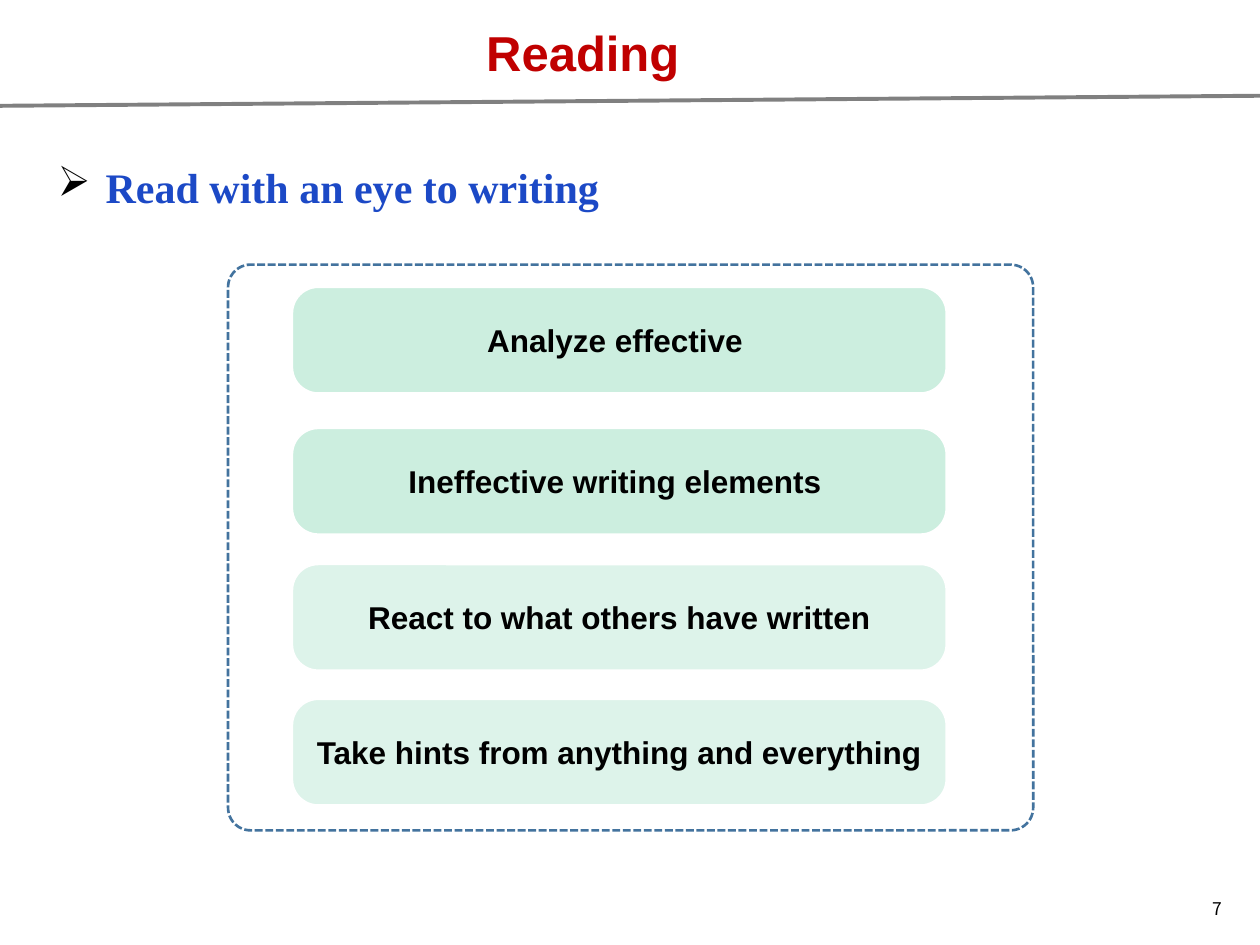
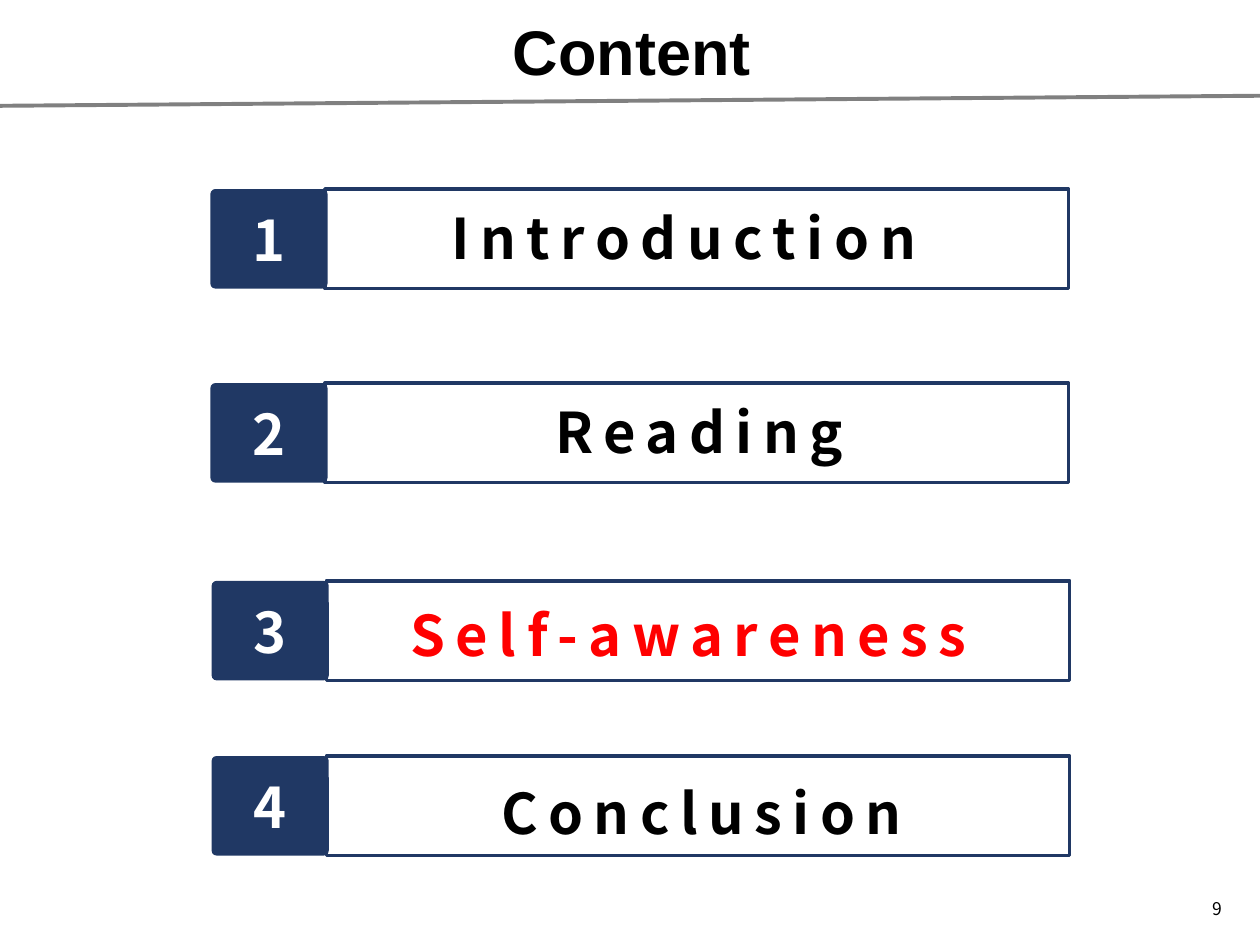
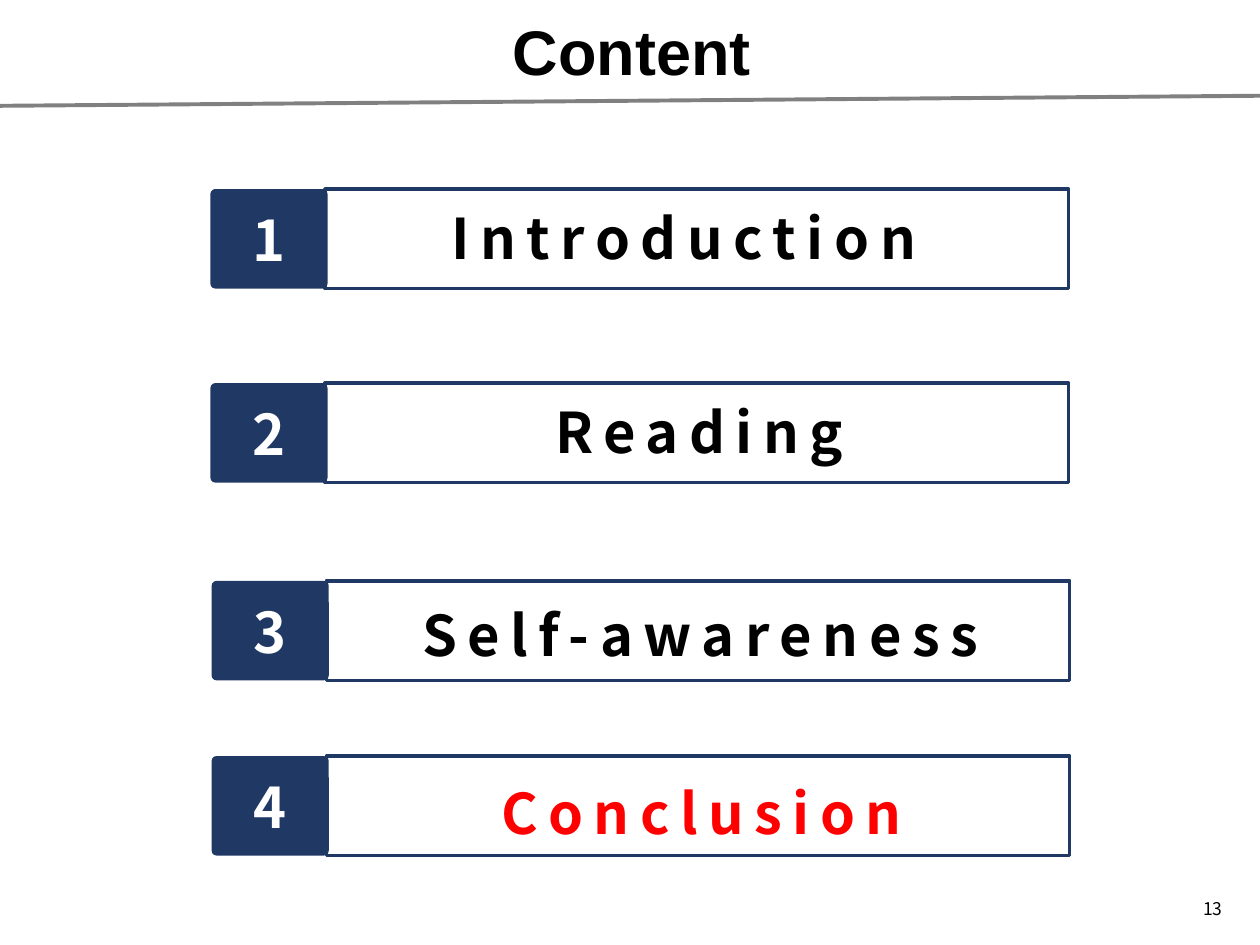
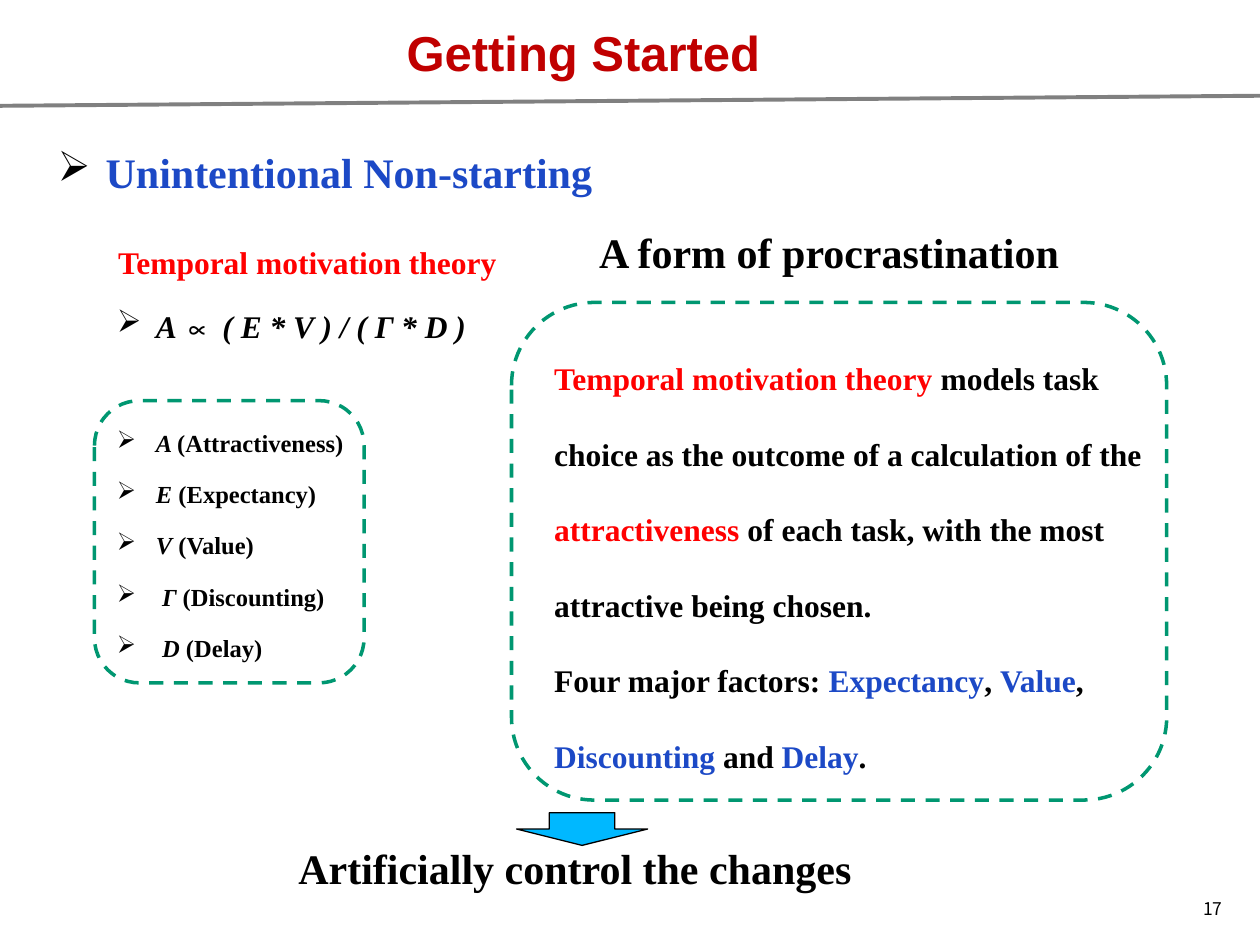
from lxml import etree
from pptx import Presentation
from pptx import util as u
from pptx.dml.color import RGBColor
from pptx.enum import dml, shapes, text
from pptx.oxml.ns import qn

COLORS = {
    "black": "000000", "white": "FFFFFF", "gray": "808080", "title": "C00000",
    "blue": "1C49C6", "red": "FF0000", "navy": "203864", "frame": "43739E",
    "mint": "CCEEDF", "pale": "DDF3EA", "green": "009771", "arrow": "00B8FF",
}
SANS, SERIF, CJK = "Arial", "Times New Roman", "Noto Sans CJK SC"
ROUNDED = shapes.MSO_SHAPE.ROUNDED_RECTANGLE
CENTER, RIGHT = text.PP_ALIGN.CENTER, text.PP_ALIGN.RIGHT
TOP, MIDDLE = text.MSO_ANCHOR.TOP, text.MSO_ANCHOR.MIDDLE


def write(shape, paragraphs, size, font, color="black", align=None, anchor=TOP,
          bold=True, indent=None, spacing=None):
    frame = shape.text_frame
    frame.word_wrap = True
    frame.auto_size = text.MSO_AUTO_SIZE.NONE
    frame.vertical_anchor = anchor
    for index, parts in enumerate(paragraphs):
        paragraph = frame.paragraphs[0] if index == 0 else frame.add_paragraph()
        paragraph.alignment = align
        paragraph.line_spacing = spacing
        if indent:
            properties = paragraph._p.get_or_add_pPr()
            properties.set("marL", str(u.Inches(indent)))
            properties.set("indent", str(-u.Inches(indent)))
            bullet_color = etree.SubElement(properties, qn("a:buClr"))
            etree.SubElement(bullet_color, qn("a:srgbClr"), val=COLORS["black"])
            etree.SubElement(properties, qn("a:buChar"), char="➢")
        for words, run_color, italic in parts:
            run = paragraph.add_run()
            run.text = words
            run.font.name = font
            run.font.size = u.Pt(size)
            run.font.bold = bold
            run.font.italic = italic
            run.font.color.rgb = RGBColor.from_string(COLORS[run_color or color])
    return frame


def add_block(slide, kind, box, fill=None, line=None, width=1, dash=None, radius=None):
    shape = slide.shapes.add_shape(kind, *map(u.Inches, box))
    shape.shadow.inherit = False
    if radius is not None:
        shape.adjustments[0] = radius
    if fill:
        shape.fill.solid()
        shape.fill.fore_color.rgb = RGBColor.from_string(COLORS[fill])
    else:
        shape.fill.background()
    if line:
        shape.line.color.rgb = RGBColor.from_string(COLORS[line])
        shape.line.width = u.Pt(width)
        shape.line.dash_style = dash
    else:
        shape.line.fill.background()
    return shape


presentation = Presentation()
presentation.slide_width = u.Inches(10)
presentation.slide_height = u.Inches(7.5)

slides = []
for title, page, box, size, color in [
    ("Reading", "7", (3.75, 0.13, 1.75, 0.57), 28, "title"),
    ("Content", "9", (3.96, 0.05, 2.11, 0.71), 36, "black"),
    ("Content", "13", (3.96, 0.05, 2.11, 0.71), 36, "black"),
    ("Getting Started", "17", (3.11, 0.13, 3.04, 0.57), 28, "title"),
]:
    slide = presentation.slides.add_slide(presentation.slide_layouts[5])
    heading = slide.shapes.title
    heading.left, heading.top, heading.width, heading.height = map(u.Inches, box)
    write(heading, [[(title, None, None)]], size, SANS, color, CENTER).word_wrap = False
    rule = slide.shapes.add_connector(
        shapes.MSO_CONNECTOR.STRAIGHT, *map(u.Inches, (0, 0.84, 10, 0.76)))
    rule.line.color.rgb = RGBColor.from_string(COLORS["gray"])
    rule.line.width = u.Pt(2.25)
    etree.SubElement(rule._element.spPr, qn("a:effectLst"))
    number = slide.shapes.add_textbox(*map(u.Inches, (9.33, 7.01, 0.47, 0.4)))
    write(number, [[(page, None, None)]], 10, CJK, align=RIGHT, anchor=MIDDLE, bold=False)
    slides.append(slide)
reading, content_awareness, content_conclusion, started = slides

for slide, topic, box in [
    (reading, "Read with an eye to writing", (0.36, 1.23, 5.49, 0.5)),
    (started, "Unintentional Non-starting", (0.36, 1.11, 5.97, 0.5)),
]:
    topic_box = slide.shapes.add_textbox(*map(u.Inches, box))
    write(topic_box, [[(topic, None, None)]], 24, SERIF, "blue", indent=0.38)

add_block(reading, ROUNDED, (1.81, 2.1, 6.39, 4.49), line="frame", width=1.5,
          dash=dml.MSO_LINE.SQUARE_DOT, radius=0.04)
for advice, top, fill in [
    ("Analyze effective ", 2.28, "mint"),
    ("Ineffective writing elements ", 3.4, "mint"),
    ("React to what others have written", 4.48, "pale"),
    ("Take hints from anything and everything", 5.55, "pale"),
]:
    card = add_block(reading, ROUNDED, (2.32, top, 5.19, 0.84), fill, "white", radius=0.245)
    write(card, [[(advice, None, None)]], 18, SANS, align=CENTER, anchor=MIDDLE)

chapter_places = [
    (1.67, 1.5, (2.91, 1.57, 5.04, 0.64)),
    (1.67, 3.04, (3.03, 3.11, 5.04, 0.64)),
    (1.68, 4.61, (2.61, 4.72, 5.9, 0.64)),
    (1.68, 6, (3.05, 6.13, 5.04, 0.64)),
]
for slide, chapters, current in [
    (content_awareness, ["Introduction", "Reading", "Self-awareness ", "Conclusion"], 3),
    (content_conclusion, ["Introduction", "Reading", "Self-awareness", "Conclusion"], 4),
]:
    for order, (chapter, place) in enumerate(zip(chapters, chapter_places), 1):
        left, top, label_box = place
        add_block(slide, shapes.MSO_SHAPE.RECTANGLE, (left + 0.91, top, 5.9, 0.79),
                  "white", "navy", 2)
        badge = add_block(slide, ROUNDED, (left, top, 0.93, 0.79), "navy", radius=0.05)
        write(badge, [[(str(order), None, None)]], 32, CJK, "white", CENTER, MIDDLE)
        label = slide.shapes.add_textbox(*map(u.Inches, label_box))
        color = "red" if order == current else "black"
        frame = write(label, [[(chapter, None, None)]], 32, CJK, color, CENTER)
        frame.paragraphs[0].runs[0].font._element.set("spc", "600")

factors = started.shapes.add_textbox(*map(u.Inches, (0.83, 2.25, 7.24, 3.07)))
frame = write(factors, [
    [("A ∝ ( E * V ) / ( Γ * D )", None, True)],
    [("A ", None, True), ("(Attractiveness)", None, False)],
    [("E ", None, True), ("(Expectancy)", None, False)],
    [("V", None, True), (" (Value)", None, False)],
    [(" ", None, False), ("Γ ", None, True), ("(Discounting)", None, False)],
    [(" ", None, False), ("D", None, True), (" (Delay)", None, False)],
], 18, SERIF, indent=0.31, spacing=1.45)
for paragraph in frame.paragraphs[1:]:
    paragraph.space_before = u.Pt(5)
    for run in paragraph.runs:
        run.font.size = u.Pt(14)
frame.paragraphs[1].space_before = u.Pt(40)

for box in [(0.75, 3.18, 2.14, 2.24), (4.06, 2.4, 5.2, 3.95)]:
    add_block(started, ROUNDED, box, line="green", width=2, dash=dml.MSO_LINE.DASH)

theory = started.shapes.add_textbox(*map(u.Inches, (4.3, 2.5, 4.88, 3.64)))
write(theory, [
    [("Temporal motivation theory ", "red", None),
     ("models task choice as the outcome of a calculation of the ", None, None),
     ("attractiveness", "red", None),
     (" of each task, with the most attractive being chosen.", None, None)],
    [("Four major factors: ", None, None), ("Expectancy", "blue", None),
     (", ", None, None), ("Value", "blue", None), (", ", None, None),
     ("Discounting", "blue", None), (" and ", None, None),
     ("Delay", "blue", None), (".", None, None)],
], 18, SERIF, spacing=2.0)

for caption, box, size, color, align in [
    ("A form of procrastination", (3.98, 1.75, 5.2, 0.5), 24, "black", CENTER),
    ("Temporal motivation theory", (0.84, 1.88, 3.3, 0.4), 18, "red", None),
    ("Artificially control the changes", (2.27, 6.64, 4.7, 0.5), 24, "black", None),
]:
    caption_box = started.shapes.add_textbox(*map(u.Inches, box))
    write(caption_box, [[(caption, None, None)]], size, SERIF, color, align)

add_block(started, shapes.MSO_SHAPE.DOWN_ARROW, (4.1, 6.45, 1.04, 0.26),
          "arrow", "black", 0.75)

presentation.save("out.pptx")
